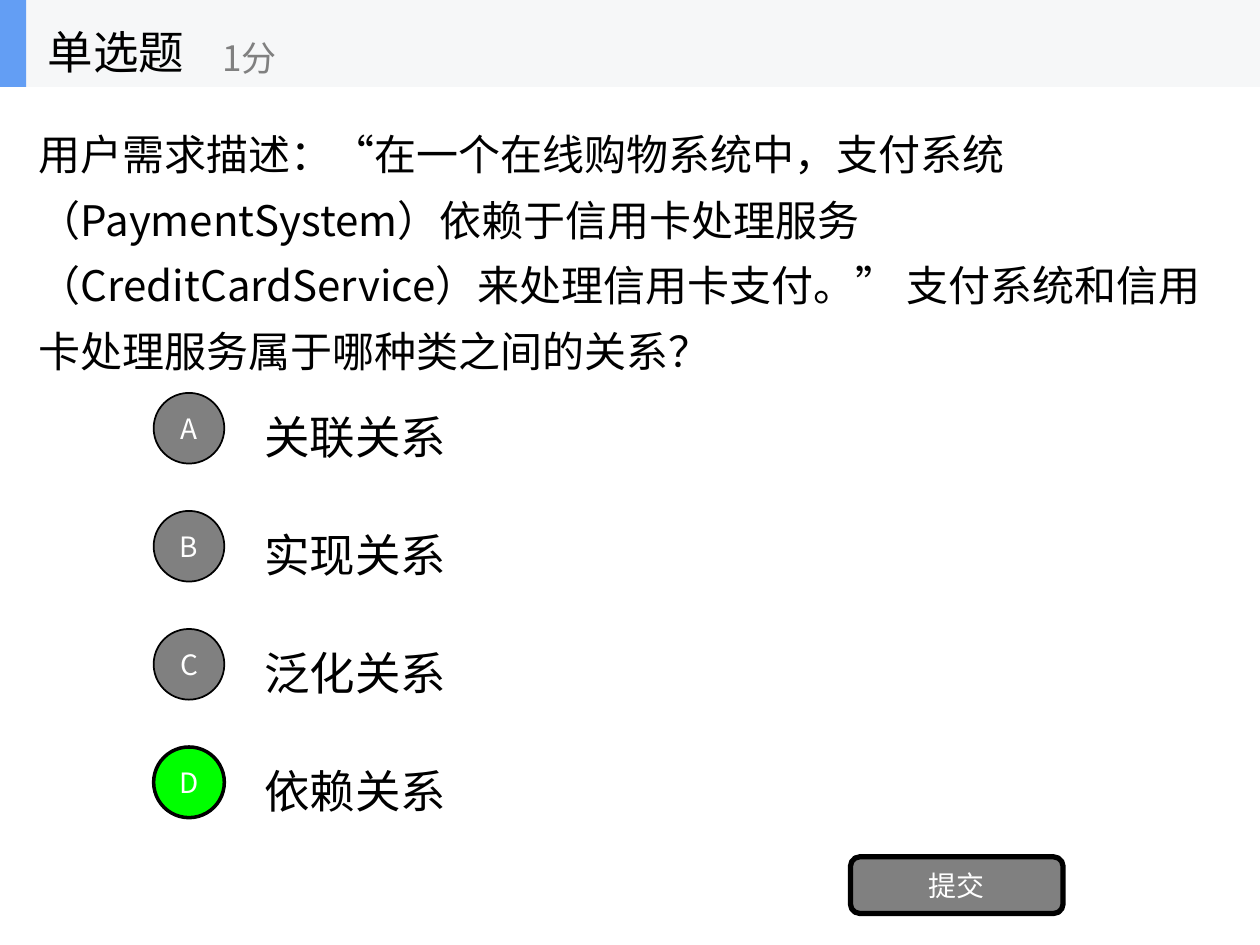
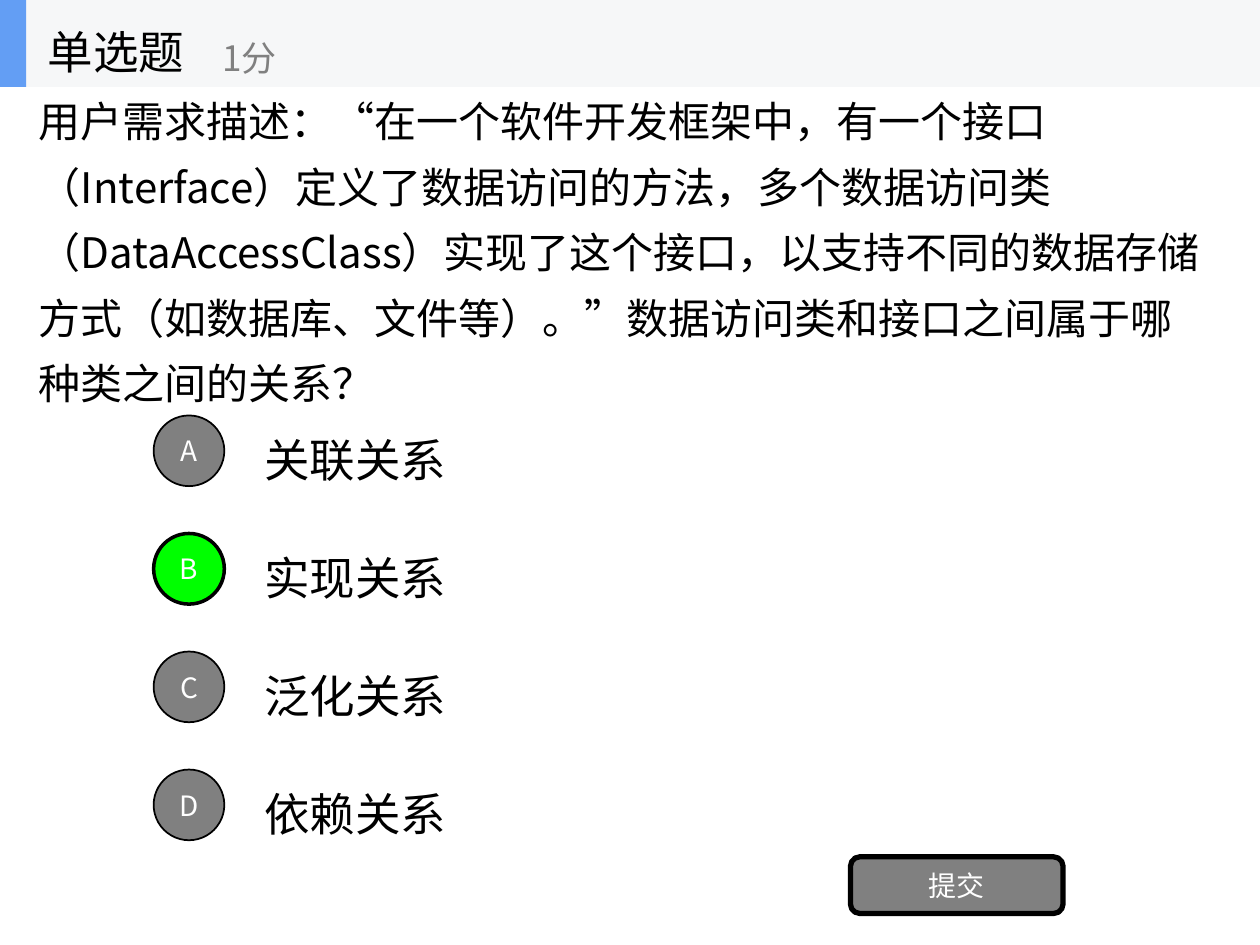
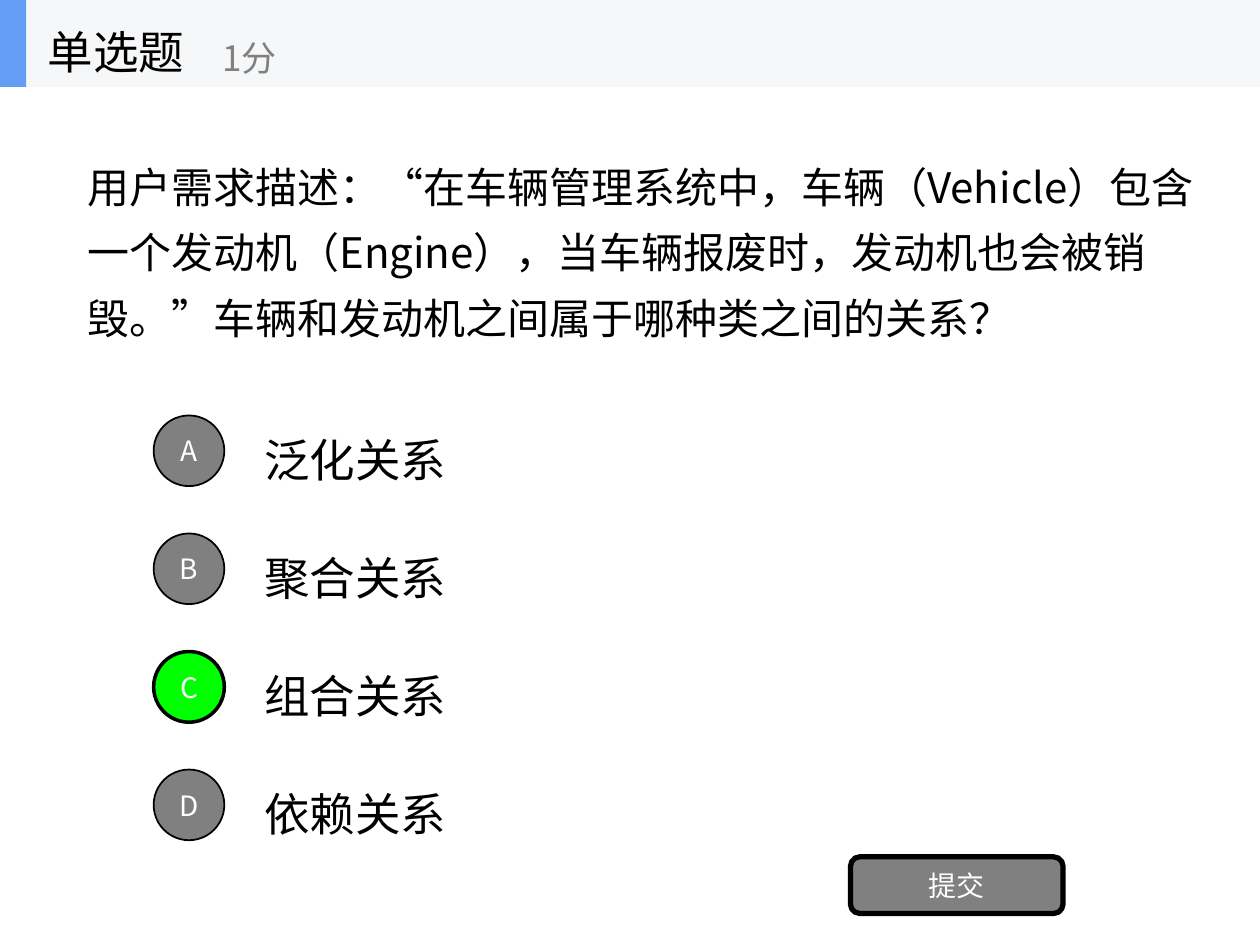
"""Builds three single-choice quiz slides about class relationships."""
from dataclasses import dataclass

from lxml import etree
from pptx import Presentation
from pptx.dml.color import RGBColor
from pptx.enum.lang import MSO_LANGUAGE_ID
from pptx.enum.shapes import MSO_SHAPE
from pptx.enum.text import MSO_ANCHOR, MSO_AUTO_SIZE, PP_ALIGN
from pptx.oxml.ns import qn
from pptx.util import Pt

RECTANGLE = MSO_SHAPE.RECTANGLE
ROUNDED = MSO_SHAPE.ROUNDED_RECTANGLE
OVAL = MSO_SHAPE.OVAL
MIDDLE = MSO_ANCHOR.MIDDLE
NO_AUTOFIT = MSO_AUTO_SIZE.NONE
LEFT = PP_ALIGN.LEFT
CENTER = PP_ALIGN.CENTER
CHINESE = MSO_LANGUAGE_ID.SIMPLIFIED_CHINESE


@dataclass(frozen=True)
class Theme:
    font: str = "Noto Sans CJK SC"
    ink: str = "000000"
    muted: str = "808080"
    light: str = "FFFFFF"
    correct: str = "00FF00"
    band: str = "F6F7F8"
    accent: str = "639EF4"
    heading_size: float = 26
    question_size: float = 24
    points_size: float = 20
    label_size: float = 16
    line_spacing: float = 1.3


WIDTH, HEIGHT = 720, 540
BAND_HEIGHT = 49.7
QUESTION_RIGHT, QUESTION_HEIGHT = 700.4, 180
OPTION_LEFT, OPTION_WIDTH, OPTION_HEIGHT, OPTION_STEP = 144, 504, 50.4, 67.45
BADGE_LEFT, BADGE_SIZE = 87.8, 40.4
TITLE_AND_CONTENT = 1

QUESTIONS = [
    {
        "text": "用户需求描述：“在一个在线购物系统中，支付系统（PaymentSystem）依赖于信用卡处理服务"
                "（CreditCardService）来处理信用卡支付。” 支付系统和信用卡处理服务属于哪种类之间的关系？",
        "left": 15,
        "options": ["关联关系", "实现关系", "泛化关系", "依赖关系"],
        "options_top": 219.5,
        "answer": "D",
    },
    {
        "text": "用户需求描述：“在一个软件开发框架中，有一个接口（Interface）定义了数据访问的方法，"
                "多个数据访问类（DataAccessClass）实现了这个接口，以支持不同的数据存储方式"
                "（如数据库、文件等）。”数据访问类和接口之间属于哪种类之间的关系？",
        "left": 15,
        "options": ["关联关系", "实现关系", "泛化关系", "依赖关系"],
        "options_top": 232.4,
        "answer": "B",
    },
    {
        "text": "用户需求描述：“在车辆管理系统中，车辆（Vehicle）包含一个发动机（Engine），"
                "当车辆报废时，发动机也会被销毁。”车辆和发动机之间属于哪种类之间的关系？",
        "left": 42.7,
        "options": ["泛化关系", "聚合关系", "组合关系", "依赖关系"],
        "options_top": 232.4,
        "answer": "C",
    },
]


class QuizDeck:
    def __init__(self, theme):
        self.theme = theme
        self.presentation = Presentation()
        self.presentation.slide_width = Pt(WIDTH)
        self.presentation.slide_height = Pt(HEIGHT)
        self.slide = None

    def new_slide(self):
        layout = self.presentation.slide_layouts[TITLE_AND_CONTENT]
        self.slide = self.presentation.slides.add_slide(layout)

    def set_text(self, shape, text, size, color, align=LEFT, spacing=None):
        frame = shape.text_frame
        frame.text = text
        frame.word_wrap = True
        frame.auto_size = NO_AUTOFIT
        frame.vertical_anchor = MIDDLE
        paragraph = frame.paragraphs[0]
        paragraph.alignment = align
        paragraph.line_spacing = spacing
        paragraph.space_before = Pt(0)
        for run in paragraph.runs:
            run.font.size = Pt(size)
            run.font.name = self.theme.font
            run.font.color.rgb = RGBColor.from_string(color)
            run.font.language_id = CHINESE
            east_asian = etree.SubElement(run._r.get_or_add_rPr(), qn("a:ea"))
            east_asian.set("typeface", self.theme.font)

    def placeholder(self, index, box, text, size):
        shape = self.slide.placeholders[index]
        shape.left, shape.top, shape.width, shape.height = map(Pt, box)
        self.set_text(shape, text, size, self.theme.ink, spacing=self.theme.line_spacing)
        return shape

    def text(self, box, text, size, color):
        shape = self.slide.shapes.add_textbox(*map(Pt, box))
        self.set_text(shape, text, size, color, spacing=self.theme.line_spacing)

    def shape(self, kind, box, fill, line_width=0):
        shape = self.slide.shapes.add_shape(kind, *map(Pt, box))
        shape.shadow.inherit = False
        shape.fill.solid()
        shape.fill.fore_color.rgb = RGBColor.from_string(fill)
        if line_width:
            shape.line.color.rgb = RGBColor.from_string(self.theme.ink)
            shape.line.width = Pt(line_width)
        else:
            shape.line.fill.background()
        return shape

    def label(self, kind, box, text, fill, line_width):
        shape = self.shape(kind, box, fill, line_width)
        frame = shape.text_frame
        frame.margin_left = frame.margin_right = frame.margin_top = frame.margin_bottom = 0
        self.set_text(shape, text, self.theme.label_size, self.theme.light, CENTER)

    def question(self, text, left):
        box = (left, BAND_HEIGHT, QUESTION_RIGHT - left, QUESTION_HEIGHT)
        body = self.placeholder(1, box, text, self.theme.question_size)
        properties = body.text_frame.paragraphs[0]._p.get_or_add_pPr()
        properties.set("marL", "0")
        properties.set("indent", "0")
        etree.SubElement(properties, qn("a:buNone"))

    def options(self, names, first_top, answer):
        badge_offset = (OPTION_HEIGHT - BADGE_SIZE) / 2
        for row, (letter, name) in enumerate(zip("ABCD", names)):
            top = first_top + row * OPTION_STEP
            self.text((OPTION_LEFT, top, OPTION_WIDTH, OPTION_HEIGHT),
                      name, self.theme.heading_size, self.theme.ink)
            fill, line_width = (self.theme.correct, 2) if letter == answer else (self.theme.muted, 1)
            self.label(OVAL, (BADGE_LEFT, top + badge_offset, BADGE_SIZE, BADGE_SIZE),
                       letter, fill, line_width)

    def submit_button(self):
        self.label(ROUNDED, (486, 489.6, 121.5, 32.4), "提交", self.theme.muted, 3)

    def header(self):
        self.shape(RECTANGLE, (0, 0, WIDTH, BAND_HEIGHT), self.theme.band)
        self.shape(RECTANGLE, (0, 0, 15, BAND_HEIGHT), self.theme.accent)
        title = self.placeholder(0, (20, 0, 150, BAND_HEIGHT), "单选题", self.theme.heading_size)
        title.element.getparent().append(title.element)
        self.text((120, 9, 180, 40), "1分", self.theme.points_size, self.theme.muted)


def main():
    deck = QuizDeck(Theme())
    for question in QUESTIONS:
        deck.new_slide()
        deck.question(question["text"], question["left"])
        deck.options(question["options"], question["options_top"], question["answer"])
        deck.submit_button()
        deck.header()
    deck.presentation.save("out.pptx")


if __name__ == "__main__":
    main()
